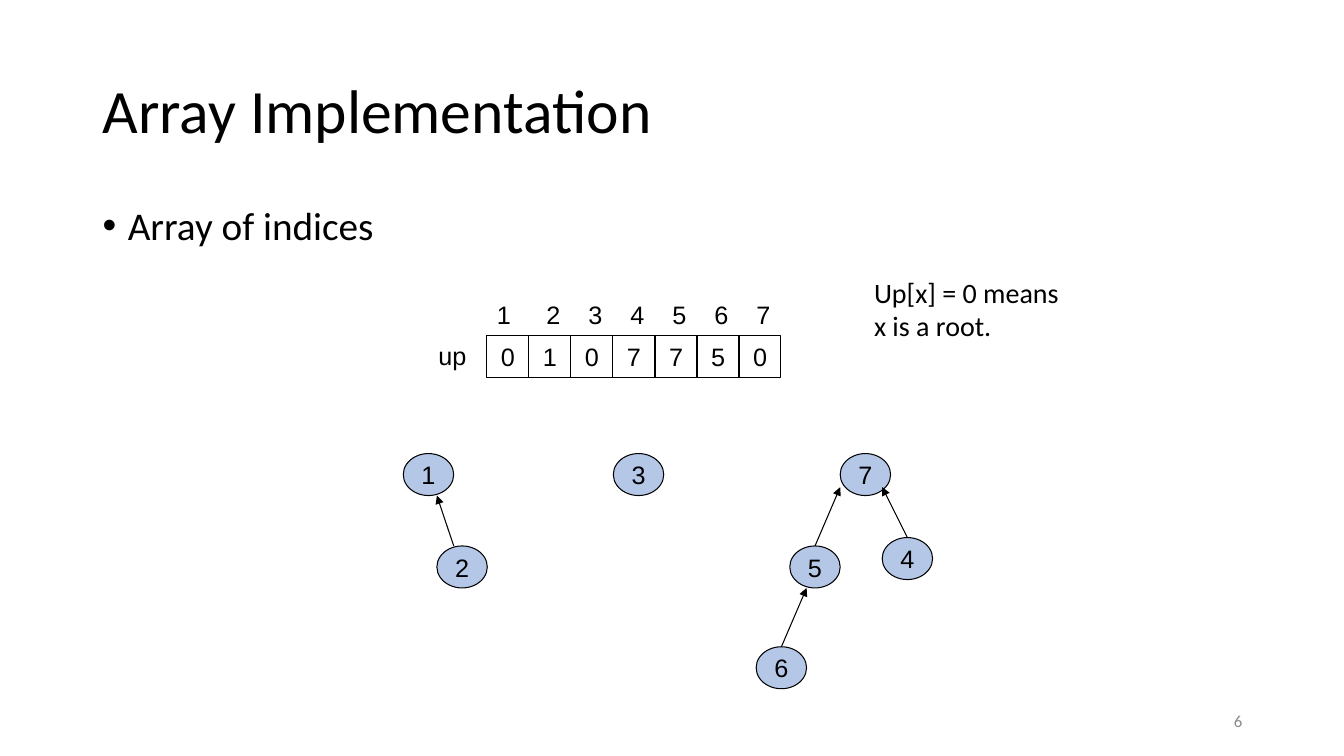
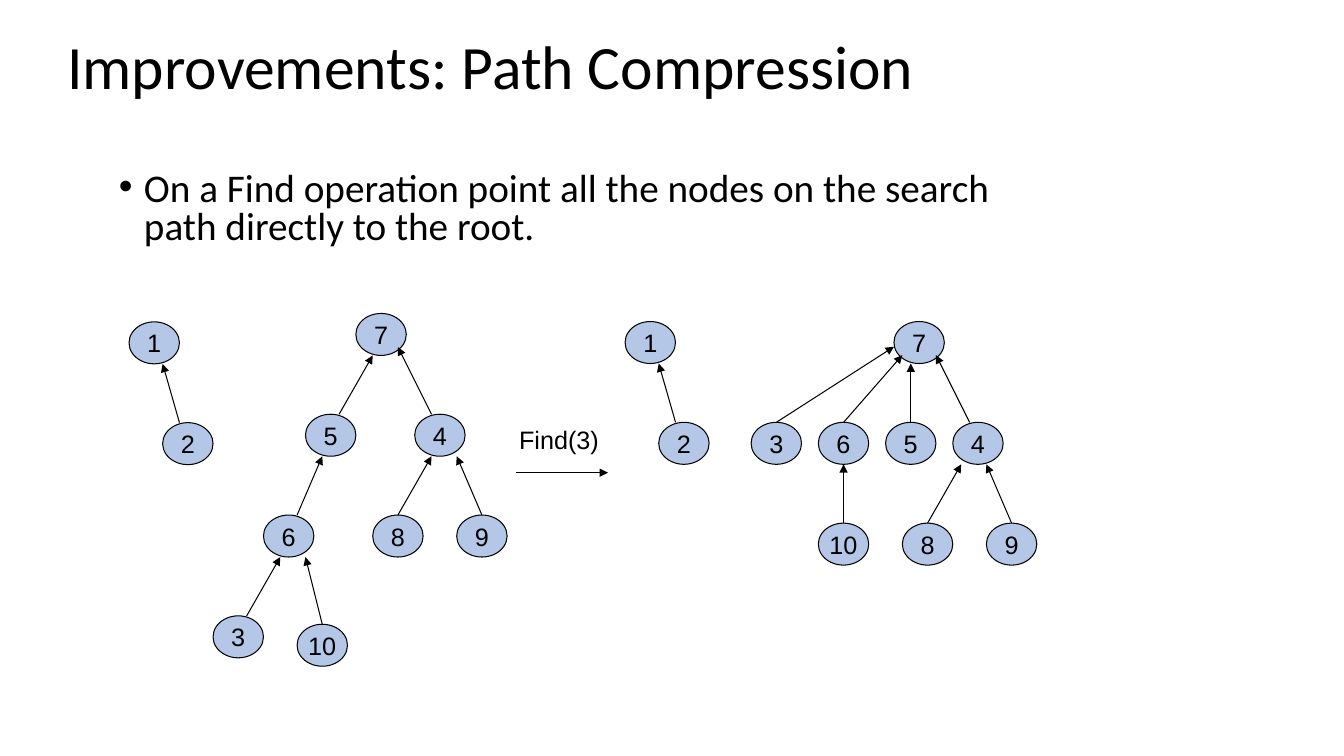
from lxml import etree
from pptx import Presentation
from pptx.dml.color import RGBColor
from pptx.enum.shapes import MSO_CONNECTOR, MSO_SHAPE
from pptx.enum.text import MSO_ANCHOR, PP_ALIGN
from pptx.oxml.ns import qn
from pptx.util import Inches, Pt

LEFT, CENTER, RIGHT = PP_ALIGN.LEFT, PP_ALIGN.CENTER, PP_ALIGN.RIGHT
TOP, MIDDLE = MSO_ANCHOR.TOP, MSO_ANCHOR.MIDDLE
OVAL, RECTANGLE = MSO_SHAPE.OVAL, MSO_SHAPE.RECTANGLE
STRAIGHT = MSO_CONNECTOR.STRAIGHT

COLORS = {"text": "000000", "line": "000000", "node": "B4C7E7", "number": "898989"}
HEADING_FONT, DIAGRAM_FONT = "Calibri", "Arial"
LINE_WIDTH = Pt(0.75)
TITLE_SIZE = (11.5, 1.45)

# Diagrams are laid out on a grid of twelfths of an inch
UNIT = 1 / 12
NODE_WIDTH, NODE_HEIGHT = 6, 5
CELL = 5 * UNIT

# Content. Nodes: label -> left, top in grid units from the origin.
# Edges: child, parent, start shift from the child's top centre,
# end shift (x, y) from the parent's bottom centre.
UP_VALUES = [0, 1, 0, 7, 7, 5, 0]
UP_ORIGIN = (4.83, 3.33)

ARRAY_FOREST = {
    "origin": (4, 4.5),
    "nodes": {1: (0, 0), 2: (4, 11), 3: (25, 0), 4: (57, 10),
              5: (46, 11), 6: (42, 23), 7: (52, 0)},
    "edges": [(2, 1, -1, (1, 0)), (5, 7, 0, (-3, -1)),
              (4, 7, 0, (2, -1)), (6, 5, 0, (-1, 0))],
}
FOREST_BEFORE = {
    "origin": (1.28, 3.11),
    "nodes": {1: (0, 1), 2: (4, 13), 3: (10, 36), 4: (34, 12), 5: (21, 12),
              6: (16, 24), 7: (27, 0), 8: (29, 24), 9: (39, 24), 10: (20, 37)},
    "edges": [(2, 1, -1, (1, 0)), (5, 7, 1, (-1, 0)), (4, 7, -1, (2, -1)),
              (6, 5, 1, (-1, 0)), (3, 6, 1, (-1, 0)), (8, 4, 0, (-1, 0)),
              (9, 4, 0, (2, 0)), (10, 6, 0, (2, 0))],
}
FOREST_AFTER = {
    "origin": (6.2, 3.19),
    "nodes": {1: (0, 0), 2: (4, 12), 3: (15, 12), 4: (39, 12), 5: (31, 12),
              6: (23, 12), 7: (32, 0), 8: (33, 24), 9: (43, 24), 10: (23, 24)},
    "edges": [(2, 1, -1, (1, 0)), (5, 7, 0, (-1, 0)), (4, 7, -1, (2, -1)),
              (6, 7, 0, (-2, -1)), (3, 7, 0, (-3, -2)), (8, 4, 0, (-2, 0)),
              (9, 4, 0, (1, 0)), (10, 6, 0, (0, 0))],
}


def color(name):
    return RGBColor.from_string(COLORS[name])


def write(shape, text, size=18, font=DIAGRAM_FONT, fill="text", align=LEFT,
          anchor=TOP, wrap=False, spacing=None, before=0, bullet=False, tabs=()):
    frame = shape.text_frame
    frame.word_wrap = wrap
    frame.vertical_anchor = anchor
    paragraph = frame.paragraphs[0]
    paragraph.text = text
    paragraph.alignment = align
    paragraph.space_before = Pt(before)
    if spacing:
        paragraph.line_spacing = spacing
    for run in paragraph.runs:
        run.font.size = Pt(size)
        run.font.name = font
        run.font.color.rgb = color(fill)
    properties = paragraph._p.get_or_add_pPr()
    if bullet:
        properties.set("marL", str(Inches(0.25)))
        properties.set("indent", str(Inches(-0.25)))
        etree.SubElement(properties, qn("a:buFont"), typeface="Arial")
        etree.SubElement(properties, qn("a:buChar"), char="•")
    if tabs:
        tab_list = etree.SubElement(properties, qn("a:tabLst"))
        for position in tabs:
            etree.SubElement(tab_list, qn("a:tab"), pos=str(Inches(position)), algn="l")
    return shape


def add_text(shapes, box, text, **style):
    return write(shapes.add_textbox(*map(Inches, box)), text, **style)


def add_box(shapes, kind, box, text, fill=None):
    shape = shapes.add_shape(kind, *map(Inches, box))
    shape.shadow.inherit = False
    if fill:
        shape.fill.solid()
        shape.fill.fore_color.rgb = color(fill)
    else:
        shape.fill.background()
    shape.line.color.rgb = color("line")
    shape.line.width = LINE_WIDTH
    return write(shape, text, align=CENTER, anchor=MIDDLE)


def add_arrow(shapes, start, end):
    arrow = shapes.add_connector(STRAIGHT, *map(Inches, (*start, *end)))
    arrow.line.color.rgb = color("line")
    arrow.line.width = LINE_WIDTH
    etree.SubElement(arrow.line._get_or_add_ln(), qn("a:tailEnd"), type="triangle")
    etree.SubElement(arrow._element.spPr, qn("a:effectLst"))
    return arrow


def add_forest(shapes, forest):
    origin_x, origin_y = forest["origin"]
    nodes = forest["nodes"]

    def place(x, y):
        return origin_x + x * UNIT, origin_y + y * UNIT

    ovals = {
        label: add_box(shapes, OVAL,
                       (*place(*corner), NODE_WIDTH * UNIT, NODE_HEIGHT * UNIT),
                       str(label), fill="node")
        for label, corner in nodes.items()
    }
    middle = NODE_WIDTH / 2
    for child, parent, start_shift, (end_x, end_y) in forest["edges"]:
        child_x, child_y = nodes[child]
        parent_x, parent_y = nodes[parent]
        arrow = add_arrow(
            shapes,
            place(child_x + middle + start_shift, child_y),
            place(parent_x + middle + end_x, parent_y + NODE_HEIGHT + end_y))
        if start_shift == 0:
            arrow.begin_connect(ovals[child], 0)


def add_slide(presentation, title, title_at, bullet, bullet_box, bullet_spacing):
    slide = presentation.slides.add_slide(presentation.slide_layouts[6])
    add_text(slide.shapes, (*title_at, *TITLE_SIZE), title, size=44,
             font=HEADING_FONT, anchor=MIDDLE, wrap=True, spacing=0.9)
    add_text(slide.shapes, bullet_box, bullet, size=28, font=HEADING_FONT,
             wrap=True, spacing=bullet_spacing, before=10, bullet=True)
    return slide


def build_array_slide(presentation):
    slide = add_slide(presentation, "Array Implementation", (0.92, 0.4),
                      "Array of indices", (0.92, 2, 11.5, 4.76), 0.9)
    shapes = slide.shapes
    add_text(shapes, (9.42, 6.95, 3, 0.4), "6", size=12, font=HEADING_FONT,
             fill="number", align=RIGHT, anchor=MIDDLE, wrap=True)
    add_forest(shapes, ARRAY_FOREST)

    # Array cells with their indices above
    left, top = UP_ORIGIN
    for column, value in enumerate(UP_VALUES):
        add_box(shapes, RECTANGLE, (left + column * CELL, top, CELL, CELL), str(value))
    count = len(UP_VALUES)
    add_text(shapes, (left, 2.92, 3, 0.4),
             "\t".join(str(index + 1) for index in range(count)), wrap=True,
             tabs=[0.49 + column * CELL for column in range(count - 1)])
    add_text(shapes, (4.25, top, 0.48, 0.4), "up")
    add_text(shapes, (8.57, 2.68, 2.05, 0.77), "Up[x] = 0 means\vx is a root.",
             size=20, font=HEADING_FONT)


def build_compression_slide(presentation):
    slide = add_slide(
        presentation, "Improvements: Path Compression", (0.57, -0.04),
        "On a Find operation point all the nodes on the search path directly to the root.",
        (1.08, 1.66, 9, 0.92), 0.8)
    add_forest(slide.shapes, FOREST_BEFORE)

    # Find step between the two forests
    step = slide.shapes.add_group_shape().shapes
    add_arrow(step, (5.12, 4.69), (6.03, 4.69))
    add_text(step, (5.05, 4.16, 1, 0.4), "Find(3)")

    add_forest(slide.shapes.add_group_shape().shapes, FOREST_AFTER)


def main():
    presentation = Presentation()
    presentation.slide_width = Inches(13.33)
    presentation.slide_height = Inches(7.5)
    build_array_slide(presentation)
    build_compression_slide(presentation)
    presentation.save("out.pptx")


if __name__ == "__main__":
    main()
